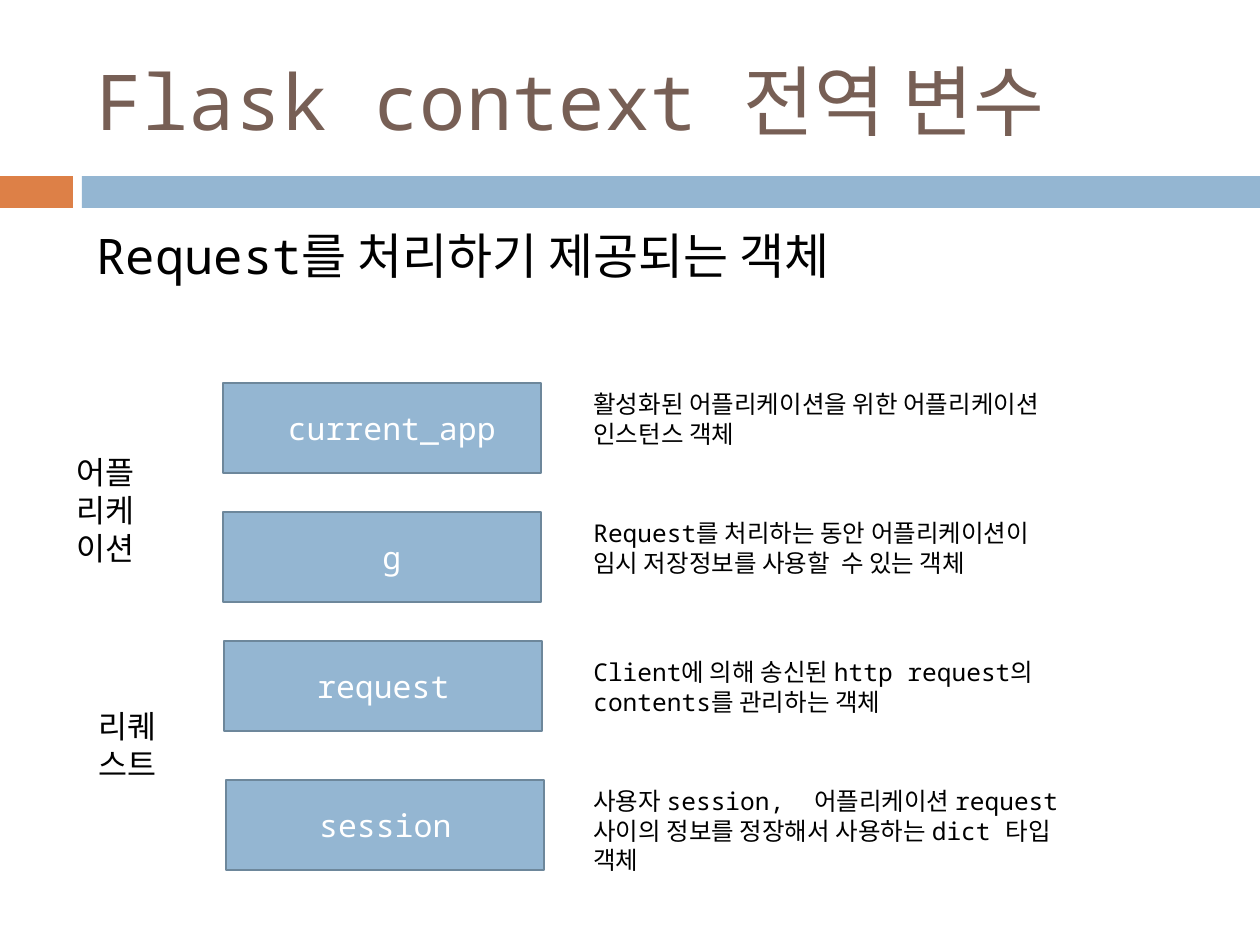
"""Build the slide on the Flask context global variables."""
from dataclasses import dataclass

import pptx
import pptx.dml.color
import pptx.enum.shapes
import pptx.enum.text
import pptx.util

EMU_PER_PX = 914400 / 126
INSET = 13
LEADING_SPACE = 19
CARD_SIZE = (318, 90)
DESCRIPTION_LEFT = 581
DESCRIPTION_WIDTH = 507


@dataclass(frozen=True)
class Theme:
    font: str = "Noto Sans Mono"
    title: str = "775F55"
    text: str = "000000"
    light: str = "FFFFFF"
    blue: str = "94B6D2"
    outline: str = "6D879B"
    orange: str = "DD8047"
    title_size: int = 44
    lead_size: int = 28
    label_size: int = 18
    description_size: int = 14


THEME = Theme()

# name, card left, card top, card indent, description top, description height, description
OBJECTS = [
    ("current_app", 223, 383, LEADING_SPACE, 383, 72,
     "활성화된 어플리케이션을 위한 어플리케이션 인스턴스 객체"),
    ("g", 223, 512, LEADING_SPACE, 512, 72,
     "Request를 처리하는 동안 어플리케이션이 임시 저장정보를 사용할  수 있는 객체"),
    ("request", 224, 641, 0, 651, 72,
     "Client에 의해 송신된 http request의 contents를 관리하는 객체"),
    ("session", 226, 780, 0, 780, 102,
     "사용자 session,  어플리케이션 request 사이의 정보를 정장해서 사용하는 dict 타입 객체"),
]

SCOPES = [
    ("어플리케이션", 64, 447, 127),
    ("리퀘스트", 86, 701, 89),
]


def px(length):
    """Turn pixels into EMU."""
    return pptx.util.Emu(round(length * EMU_PER_PX))


def rgb(value):
    """Turn a hex string into a colour."""
    return pptx.dml.color.RGBColor.from_string(value)


def write(shape, text, size, color, centered=False):
    """Write one formatted paragraph into a shape."""
    frame = shape.text_frame
    frame.word_wrap = True
    paragraph = frame.paragraphs[0]
    paragraph.text = text
    alignment = pptx.enum.text.PP_ALIGN
    paragraph.alignment = alignment.CENTER if centered else alignment.LEFT
    paragraph.font.name = THEME.font
    paragraph.font.size = pptx.util.Pt(size)
    paragraph.font.color.rgb = rgb(color)


def add_title(slide, text):
    """Place and fill the title placeholder."""
    title = slide.shapes.title
    title.left, title.top, title.width, title.height = map(px, (84, 32, 1124, 136))
    write(title, text, THEME.title_size, THEME.title)
    title.text_frame.auto_size = pptx.enum.text.MSO_AUTO_SIZE.NONE
    title.text_frame.vertical_anchor = pptx.enum.text.MSO_ANCHOR.MIDDLE


def add_rectangle(slide, left, top, width, height, fill):
    """Add a plain filled rectangle."""
    shape = slide.shapes.add_shape(
        pptx.enum.shapes.MSO_SHAPE.RECTANGLE, *map(px, (left, top, width, height)))
    shape.shadow.inherit = False
    shape.fill.solid()
    shape.fill.fore_color.rgb = rgb(fill)
    shape.line.fill.background()
    return shape


def add_card(slide, name, left, top, indent):
    """Add an outlined card that names a context object."""
    card = add_rectangle(slide, left, top, *CARD_SIZE, THEME.blue)
    card.line.color.rgb = rgb(THEME.outline)
    card.line.width = pptx.util.Pt(1.5)
    write(card, name, THEME.label_size, THEME.light, centered=True)
    card.text_frame.margin_left = px(INSET + indent)
    card.text_frame.vertical_anchor = pptx.enum.text.MSO_ANCHOR.MIDDLE


def add_text(slide, text, left, top, width, height, size):
    """Add a wrapping text box."""
    box = slide.shapes.add_textbox(*map(px, (left, top, width, height)))
    write(box, text, size, THEME.text)


def main():
    """Build and save the slide."""
    presentation = pptx.Presentation()
    presentation.slide_width, presentation.slide_height = px(1260), px(945)
    slide = presentation.slides.add_slide(presentation.slide_layouts[5])
    add_rectangle(slide, 0, 176, 73, 32, THEME.orange)
    add_rectangle(slide, 82, 176, 1178, 32, THEME.blue)
    add_title(slide, "Flask context 전역 변수")
    add_text(slide, "Request를 처리하기 제공되는 객체", 84, 219, 1101, 72, THEME.lead_size)
    for name, left, top, indent, text_top, text_height, description in OBJECTS:
        add_card(slide, name, left, top, indent)
        add_text(slide, description, DESCRIPTION_LEFT, text_top,
                 DESCRIPTION_WIDTH, text_height, THEME.description_size)
    for scope, left, top, height in SCOPES:
        add_text(slide, scope, left, top, 89, height, THEME.label_size)
    presentation.save("out.pptx")


if __name__ == "__main__":
    main()
